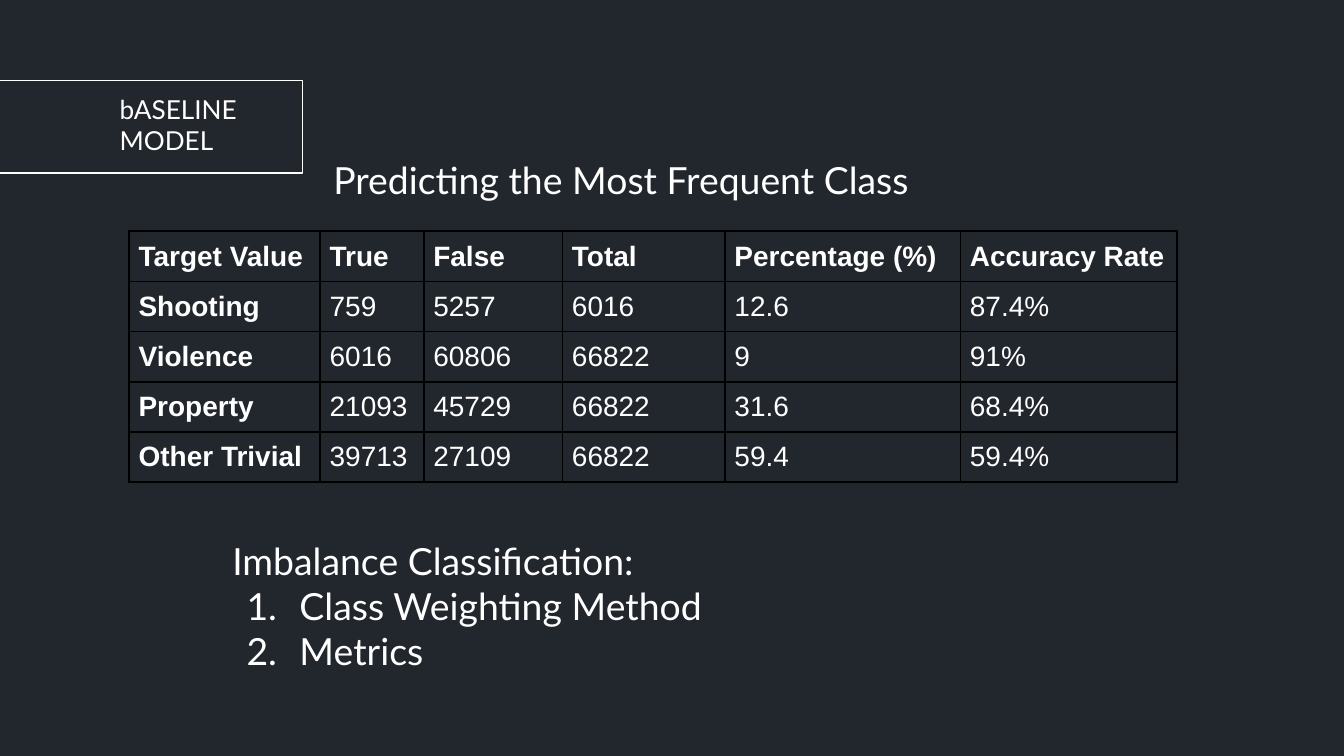
from dataclasses import dataclass

from lxml import etree
from pptx import Presentation
from pptx.dml.color import RGBColor
from pptx.enum.shapes import MSO_SHAPE
from pptx.enum.text import MSO_ANCHOR, MSO_AUTO_SIZE, PP_ALIGN
from pptx.oxml.ns import qn
from pptx.util import Cm, Pt

RECTANGLE = MSO_SHAPE.RECTANGLE
TOP, MIDDLE = MSO_ANCHOR.TOP, MSO_ANCHOR.MIDDLE
LEFT = PP_ALIGN.LEFT
NO_FIT = MSO_AUTO_SIZE.NONE


@dataclass(frozen=True)
class Theme:
    background: str = "22262D"
    text: str = "FFFFFF"
    border: str = "000000"
    text_font: str = "Lato"
    table_font: str = "Arial"
    title_size: int = 14
    body_size: int = 20
    table_size: int = 15
    frame_width: float = 0.75
    border_width: float = 1
    text_inset: float = 0.25
    cell_inset: float = 0.18


class SlideBuilder:
    def __init__(self, page, theme):
        self.page = page
        self.theme = theme
        fill = page.background.fill
        fill.solid()
        fill.fore_color.rgb = RGBColor.from_string(theme.background)

    def set_font(self, para, name, size, bold=False):
        para.font.name = name
        para.font.size = Pt(size)
        para.font.bold = bold
        para.font.color.rgb = RGBColor.from_string(self.theme.text)

    def set_insets(self, target, inset):
        target.margin_left = target.margin_right = Cm(inset)
        target.margin_top = target.margin_bottom = Cm(inset)

    def frame(self, left, top, width, height):
        box = self.page.shapes.add_shape(
            RECTANGLE, Cm(left), Cm(top), Cm(width), Cm(height))
        box.shadow.inherit = False
        box.fill.background()
        box.line.color.rgb = RGBColor.from_string(self.theme.text)
        box.line.width = Pt(self.theme.frame_width)

    def set_text(self, box, place, lines, size, anchor=TOP):
        """Place a text shape and fill it; lines are (text, numbered) pairs."""
        box.left, box.top, box.width, box.height = map(Cm, place)
        text_frame = box.text_frame
        text_frame.word_wrap = True
        text_frame.auto_size = NO_FIT
        text_frame.vertical_anchor = anchor
        self.set_insets(text_frame, self.theme.text_inset)
        for index, (text, numbered) in enumerate(lines):
            para = text_frame.paragraphs[0] if index == 0 else text_frame.add_paragraph()
            para.text = text
            if numbered:
                self.number(para)
            para.alignment = LEFT
            para.space_before = Pt(0)
            self.set_font(para, self.theme.text_font, size)

    def number(self, para):
        properties = para._p.get_or_add_pPr()
        properties.set("marL", str(Cm(1.27)))
        properties.set("indent", str(Cm(-1)))
        color = etree.SubElement(properties, qn("a:buClr"))
        etree.SubElement(color, qn("a:srgbClr"), val=self.theme.text)
        etree.SubElement(properties, qn("a:buFont"), typeface=self.theme.text_font)
        etree.SubElement(properties, qn("a:buAutoNum"), type="arabicPeriod")

    def title(self, text, place):
        self.set_text(self.page.shapes.title, place, [(text, False)],
                      self.theme.title_size, MIDDLE)

    def body(self, lines, place):
        self.set_text(self.page.placeholders[1], place, lines, self.theme.body_size)

    def label(self, text, place):
        box = self.page.shapes.add_textbox(*map(Cm, place))
        self.set_text(box, place, [(text, False)], self.theme.body_size)

    def table(self, rows, left, top, column_widths, row_height):
        table = self.page.shapes.add_table(
            len(rows), len(column_widths), Cm(left), Cm(top),
            Cm(sum(column_widths)), Cm(row_height * len(rows))).table
        table.horz_banding = False
        for column, width in zip(table.columns, column_widths):
            column.width = Cm(width)
        for row_index, row in enumerate(rows):
            for column_index, text in enumerate(row):
                heading = row_index == 0 or column_index == 0
                self.cell(table.cell(row_index, column_index), text, heading)

    def cell(self, cell, text, heading):
        self.set_insets(cell, self.theme.cell_inset)
        self.add_borders(cell)
        cell.fill.background()
        cell.text = text
        self.set_font(cell.text_frame.paragraphs[0], self.theme.table_font,
                      self.theme.table_size, heading)

    def add_borders(self, cell):
        properties = cell._tc.get_or_add_tcPr()
        for side in ("lnL", "lnR", "lnT", "lnB"):
            line = etree.SubElement(properties, qn(f"a:{side}"),
                                    w=str(Pt(self.theme.border_width)))
            fill = etree.SubElement(line, qn("a:solidFill"))
            etree.SubElement(fill, qn("a:srgbClr"), val=self.theme.border)


RESULTS = [
    ("Target Value", "True", "False", "Total", "Percentage (%)", "Accuracy Rate"),
    ("Shooting", "759", "5257", "6016", "12.6", "87.4%"),
    ("Violence", "6016", "60806", "66822", "9", "91%"),
    ("Property", "21093", "45729", "66822", "31.6", "68.4%"),
    ("Other Trivial", "39713", "27109", "66822", "59.4", "59.4%"),
]
IMBALANCE = [
    ("Imbalance Classification:", False),
    ("Class Weighting Method", True),
    ("Metrics", True),
]


def main():
    deck = Presentation()
    deck.slide_width, deck.slide_height = Cm(25.4), Cm(14.29)
    page = deck.slides.add_slide(deck.slide_layouts[0])
    builder = SlideBuilder(page, Theme())
    builder.frame(-0.25, 1.52, 5.97, 1.75)
    builder.title("bASELINE MODEL", (2.01, 1.04, 3.71, 2.62))
    builder.table(RESULTS, 2.44, 4.37, (3.61, 1.96, 2.62, 3.07, 4.45, 4.09), 0.94)
    builder.body(IMBALANCE, (4.14, 9.93, 18.08, 3.89))
    builder.label("Predicting the Most Frequent Class", (6.05, 2.72, 13.92, 1.37))
    deck.save("out.pptx")


if __name__ == "__main__":
    main()
